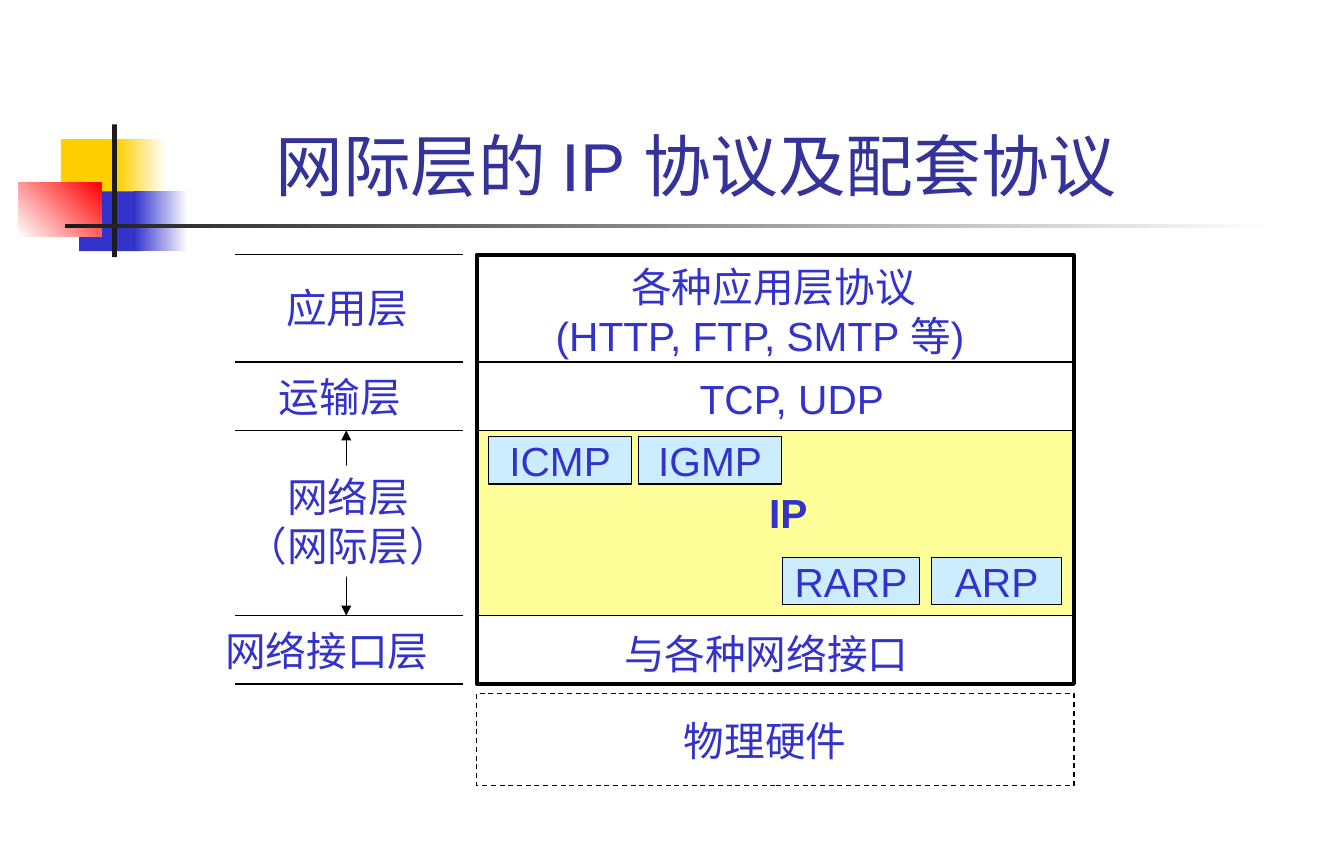
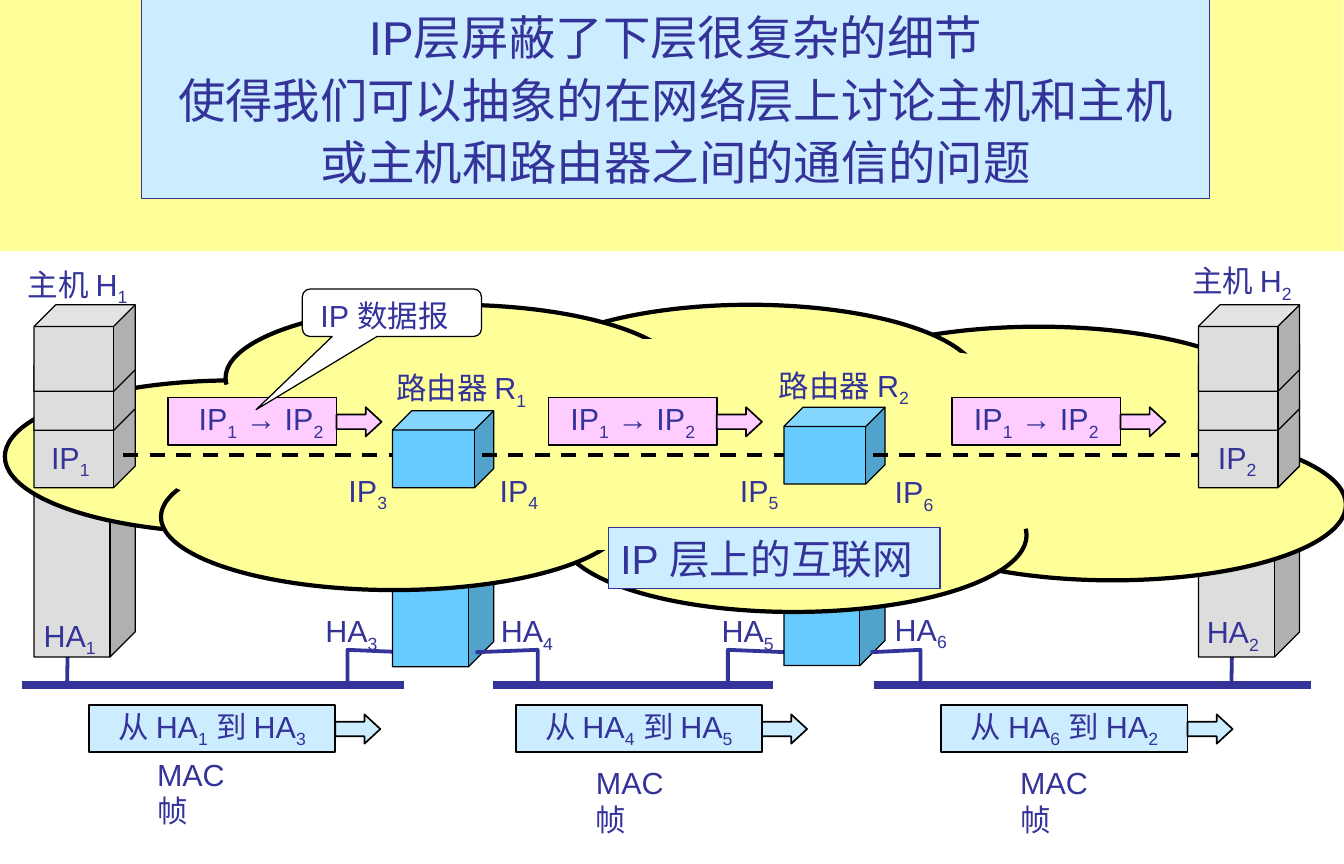
from lxml import etree
from pptx import Presentation
from pptx.dml.color import RGBColor
from pptx.enum import dml, shapes, text
from pptx.oxml import ns
from pptx.util import Cm, Inches, Pt

BLACK, WHITE, CHARCOAL = "000000", "FFFFFF", "1C1C1C"
NAVY, BLUE, GOLD, RED = "333399", "3333CC", "FFCF01", "FF0000"
YELLOW, PALE_BLUE, PINK = "FFFF99", "CCECFF", "FFCCFF"
GREY, SKY = "DDDDDD", "66CCFF"
FONT = "Arial"
RECT = shapes.MSO_SHAPE.RECTANGLE
CUBE = shapes.MSO_SHAPE.CUBE
CENTER, LEFT = text.PP_ALIGN.CENTER, text.PP_ALIGN.LEFT


def colour(value):
    return RGBColor.from_string(value)


def inches(*lengths):
    return [Inches(length) for length in lengths]


def outline(item, line, weight, dashed=False):
    item.line.color.rgb = colour(line)
    item.line.width = Pt(weight)
    if dashed:
        item.line.dash_style = dml.MSO_LINE.DASH


def paint(item, fill=None, line=None, weight=0.75, dashed=False):
    if fill:
        item.fill.solid()
        item.fill.fore_color.rgb = colour(fill)
    else:
        item.fill.background()
    if line:
        outline(item, line, weight, dashed)
    else:
        item.line.fill.background()


def block(slide, box, fill=None, line=None, weight=0.75, kind=RECT, dashed=False):
    item = slide.shapes.add_shape(kind, *inches(*box))
    item.shadow.inherit = False
    paint(item, fill, line, weight, dashed)
    return item


def fade(item, start, end, angle=0):
    item.fill.gradient()
    item.fill.gradient_angle = angle
    for stop, value, position in zip(item.fill.gradient_stops, (start, end), (0, 1)):
        stop.color.rgb = colour(value)
        stop.position = position


def write(item, content, size, ink, align=LEFT, anchor=text.MSO_ANCHOR.TOP,
          wrap=False, bold=None, spacing=None):
    frame = item.text_frame
    frame.word_wrap = wrap
    frame.auto_size = text.MSO_AUTO_SIZE.NONE
    frame.vertical_anchor = anchor
    for index, words in enumerate(content.split("\n")):
        paragraph = frame.add_paragraph() if index else frame.paragraphs[0]
        paragraph.alignment = align
        paragraph.line_spacing = spacing
        font = paragraph.font
        font.name, font.size, font.bold = FONT, Pt(size), bold
        font.color.rgb = colour(ink)
        for part, piece in enumerate(words.split("_")):
            if piece:
                run = paragraph.add_run()
                run.text = piece
                if part % 2:
                    run.font._element.set("baseline", "-25000")
    return item


def write_middle(item, content, size, ink):
    return write(item, content, size, ink, CENTER, text.MSO_ANCHOR.MIDDLE)


def label(slide, left, top, width, content, size, ink, height=0.5, **style):
    item = slide.shapes.add_textbox(*inches(left, top, width, height))
    return write(item, content, size, ink, **style)


def segment(slide, start, end, line=BLACK, weight=0.75, dashed=False, arrows=False):
    item = slide.shapes.add_connector(
        shapes.MSO_CONNECTOR.STRAIGHT, *inches(*start, *end))
    outline(item, line, weight, dashed)
    if arrows:
        for tip in ("a:headEnd", "a:tailEnd"):
            etree.SubElement(item.line._get_or_add_ln(), ns.qn(tip), type="triangle")
    etree.SubElement(item._element.spPr, ns.qn("a:effectLst"))


def place_title(slide, box, content, size, **style):
    title = slide.shapes.title
    title.left, title.top, title.width, title.height = inches(*box)
    return write(title, content, size, NAVY, CENTER, **style)


def corner_ornament(slide, left, top):
    for x, y, w, h, start, end, angle in (
            (0.35, 0.12, 0.53, 0.49, GOLD, None, 0),
            (0.81, 0.12, 0.4, 0.49, GOLD, WHITE, 0),
            (0.5, 0.55, 0.51, 0.49, BLUE, None, 0),
            (0.95, 0.55, 0.44, 0.49, BLUE, WHITE, 0),
            (0, 0.48, 0.68, 0.44, WHITE, RED, 45),
            (0.77, 0, 0.04, 1.09, CHARCOAL, None, 0),
            (0.38, 0.82, 9.92, 0.03, CHARCOAL, WHITE, 0)):
        item = block(slide, (left + x, top + y, w, h), start)
        if end:
            fade(item, start, end, angle)


def protocol_stack(slide, left, top, width, borders):
    right, bottom = left + width, top + borders[-1]
    transport_end, internet_end = top + borders[2], top + borders[3]
    block(slide, (left, transport_end, width, internet_end - transport_end), YELLOW)
    block(slide, (left, top, width, bottom - top), None, BLACK, 2.25)
    for border in borders[1:-1]:
        segment(slide, (left, top + border), (right, top + border))
    block(slide, (left, bottom + 0.08, width, 0.75), WHITE, BLACK, dashed=True)
    for x, y, w, words in (
            (1.17, 0.01, 2.65, "各种应用层协议"),
            (0.55, 0.41, 3.71, "(HTTP, FTP, SMTP 等)"),
            (1.73, 0.93, 1.79, "TCP, UDP"),
            (1.11, 3.02, 2.65, "与各种网络接口"),
            (1.6, 3.73, 1.61, "物理硬件")):
        label(slide, left + x, top + y, w, words, 24, BLUE)
    label(slide, left + 2.3, top + 1.86, 0.54, "IP", 24, BLUE, bold=True)
    for x, y, w, protocol in (
            (0.1, 1.49, 1.17, "ICMP"), (1.33, 1.49, 1.17, "IGMP"),
            (2.51, 2.48, 1.12, "RARP"), (3.73, 2.48, 1.07, "ARP")):
        item = block(slide, (left + x, top + y, w, 0.39), PALE_BLUE, BLACK)
        write_middle(item, protocol, 24, BLUE)


def layer_names(slide, left, top, width, borders):
    for border in borders:
        segment(slide, (left, top + border), (left + width, top + border))
    segment(slide, (left + 0.91, top + borders[2]),
            (left + 0.91, top + borders[3]), arrows=True)
    internet = block(slide, (left - 0.05, top + 1.73, 1.95, 0.91), WHITE)
    write(internet, "网络层\n（网际层）", 24, BLUE, CENTER)
    label(slide, left + 0.32, top + 0.18, 1.26, "应用层", 24, BLUE)
    label(slide, left + 0.26, top + 0.91, 1.26, "运输层", 24, BLUE)
    label(slide, left - 0.18, top + 3.09, 1.87, "网络接口层", 24, BLUE,
          height=0.4, spacing=0.75)


def protocols_slide(slide):
    borders = (0, 0.88, 1.44, 2.96, 3.52)
    corner_ornament(slide, 0.15, 1.02)
    place_title(slide, (1.39, 0.22, 8.64, 1.51), "网际层的 IP 协议及配套协议", 40,
                anchor=text.MSO_ANCHOR.BOTTOM, wrap=True)
    protocol_stack(slide, 3.91, 2.09, 4.9, borders)
    layer_names(slide, 1.93, 2.09, 1.87, borders)


def cloud(slide, left, top):
    for x, y, w, h in (
            (7.17, 1.02, 3.83, 1.24), (0, 0.62, 3.76, 1.25),
            (6.57, 0.18, 3.82, 1.2), (4.56, 1.26, 3.82, 1.26),
            (1.28, 1.14, 3.82, 1.2), (4.23, 0, 3.76, 1.24), (1.81, 0, 3.75, 1.2)):
        block(slide, (left + x, top + y, w, h), YELLOW, BLACK, 2.5,
              shapes.MSO_SHAPE.OVAL)
    block(slide, (left + 1.01, top + 0.28, 9.12, 1.74), YELLOW,
          kind=shapes.MSO_SHAPE.OVAL)


def cube(slide, left, top, height, fill):
    block(slide, (left, top, 0.83, height), fill, BLACK, kind=CUBE)


def host_layers(slide, left, top):
    for rise in (0.79, 0.32, 0):
        cube(slide, left, top + rise, 0.71, GREY)


def link_stub(slide, foot, router_x, lan_y):
    points = [(foot, lan_y), (foot, lan_y - 0.29), (router_x, lan_y - 0.27)]
    start, *rest = [inches(*point) for point in points]
    builder = slide.shapes.build_freeform(*start, scale=1.0)
    builder.add_line_segments(rest, close=False)
    item = builder.convert_to_shape()
    item.shadow.inherit = False
    paint(item, None, NAVY, 2.25)


def packet(slide, left, top, width, words, fill):
    item = block(slide, (left, top, width, 0.39), fill, BLACK, 1)
    arrow = block(slide, (left + width, top + 0.08, 0.37, 0.24), fill, BLACK, 1,
                  shapes.MSO_SHAPE.RIGHT_ARROW)
    arrow.adjustments[1] = 0.541
    return write_middle(item, words, 18, NAVY)


def network(slide, lan_y):
    hosts, routers = (0.28, 9.83), ((3.22, 3.37), (6.43, 3.34))
    ip_y = 3.73
    for foot, router_x in ((2.85, 3.32), (5.97, 6.45)):
        link_stub(slide, foot, router_x, lan_y)
    for host in hosts:
        segment(slide, (host + 0.27, lan_y), (host + 0.28, 5.07), NAVY, 2.25)
        cube(slide, host, 3.42, 1.97, GREY)
    for (left, _), top, height in zip(routers, (3.5, 3.73), (1.97, 1.73)):
        cube(slide, left, top, height, SKY)
    cloud(slide, 0.04, 2.5)
    for start, end in ((0.18, 3.31), (4.04, 6.34), (7.17, 10.75)):
        segment(slide, (start, lan_y), (end, lan_y), NAVY, 4.5)
    for host in hosts:
        host_layers(slide, host, 2.5)
    segment(slide, (1.01, ip_y), (3.31, ip_y), BLACK, 2.25, True)
    for (left, top), end in zip(routers, (6.43, 9.83)):
        cube(slide, left, top, 0.63, SKY)
        segment(slide, (left + 0.73, ip_y), (end, ip_y), BLACK, 2.25, True)
    for foot, router_x in ((4.41, 3.9), (7.55, 7.14)):
        link_stub(slide, foot, router_x, lan_y)


def network_labels(slide):
    for width, words, places in (
            (0.55, "IP", ((1, 0.32, 3.55), (2, 9.89, 3.55), (3, 2.76, 3.82),
                          (4, 4, 3.82), (5, 5.97, 3.82), (6, 7.24, 3.83))),
            (0.67, "HA", ((1, 0.26, 5.01), (2, 9.8, 4.98), (3, 2.57, 4.97),
                          (4, 4.01, 4.97), (5, 5.82, 4.97), (6, 7.24, 4.96))),
            (1.09, "主机 H", ((1, 0.13, 2.13), (2, 9.68, 2.1))),
            (1.35, "路由器 R", ((1, 3.15, 2.98), (2, 6.29, 2.96)))):
        for number, left, top in places:
            label(slide, left, top, width, f"{words}_{number}_", 18, NAVY, 0.4)
    internet = block(slide, (4.99, 4.33, 2.72, 0.5), PALE_BLUE, NAVY)
    write(internet, "IP 层上的互联网", 24, NAVY)


def packets(slide, datagram_y, frame_y):
    datagrams = [packet(slide, left, datagram_y, 1.38, "IP_1_ → IP_2_", PINK)
                 for left in (1.38, 4.5, 7.81)]
    datagrams[0].text_frame.margin_left = Inches(0.24)
    for left, source, target, name_x, name_y in (
            (0.73, 1, 3, 0.46, 0.37), (4.23, 4, 5, 0.56, 0.44),
            (7.72, 6, 2, 0.55, 0.44)):
        packet(slide, left, frame_y, 2.02,
               f"从 HA_{source}_ 到 HA_{target}_", PALE_BLUE)
        label(slide, left + name_x, frame_y + name_y, 0.9, "MAC 帧", 18, NAVY,
              0.7, wrap=True)


def datagram_callout(slide, box):
    callout = block(slide, box, WHITE, BLACK,
                    kind=shapes.MSO_SHAPE.ROUNDED_RECTANGULAR_CALLOUT)
    for index, value in enumerate((-0.758, 2.038, 0.167)):
        callout.adjustments[index] = value
    left, top, width, _ = box
    label(slide, left + 0.05, top + 0.02, width - 0.16, "IP 数据报", 18, NAVY, 0.4)


def headline(slide, width, height):
    block(slide, (0, 0, width, height), YELLOW)
    title = place_title(
        slide, (1.16, -0.03, 8.76, 1.66),
        "IP层屏蔽了下层很复杂的细节\n使得我们可以抽象的在网络层上讨论主机和主机\n"
        "或主机和路由器之间的通信的问题", 28, wrap=True, spacing=1.1)
    paint(title, PALE_BLUE, NAVY)
    slide.shapes._spTree.append(title._element)


def internet_slide(slide):
    network(slide, 5.62)
    network_labels(slide)
    packets(slide, 3.26, 5.78)
    datagram_callout(slide, (2.48, 2.37, 1.47, 0.39))
    headline(slide, 11.02, 2.06)


def main():
    deck = Presentation()
    deck.slide_width, deck.slide_height = Cm(28), Cm(18)
    title_only = deck.slide_layouts[5]
    for build in (protocols_slide, internet_slide):
        build(deck.slides.add_slide(title_only))
    deck.save("out.pptx")


if __name__ == "__main__":
    main()
